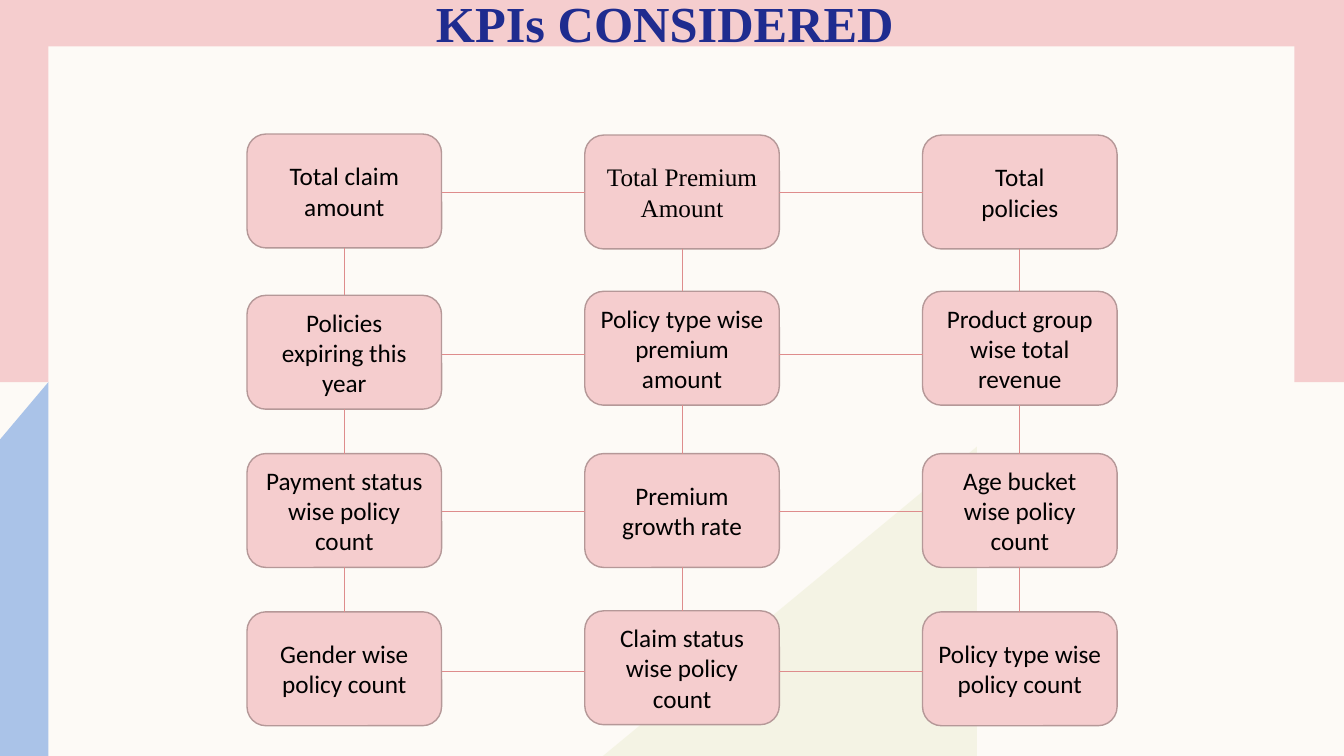
"""Build the slide of KPIs considered, a linked grid of cards."""
from lxml import etree
from pptx import Presentation, util as u
from pptx.dml.color import RGBColor
from pptx.enum import shapes as s, text as t
from pptx.oxml.ns import qn

PINK, CREAM = "F5CDCE", "FDFAF6"


def paint(fill, color):
    fill.solid()
    fill.fore_color.rgb = RGBColor.from_string(color)


def style(frame, anchor, size, font, color, bold=False):
    frame.word_wrap = True
    frame.auto_size = t.MSO_AUTO_SIZE.NONE
    frame.vertical_anchor = anchor
    for para in frame.paragraphs:
        para.alignment = t.PP_ALIGN.CENTER
        for run in para.runs:
            run.font.size = u.Pt(size)
            run.font.name = font
            run.font.bold = bold
            paint(run.font.fill, color)


deck = Presentation()
deck.slide_width, deck.slide_height = u.Inches(13.33), u.Inches(7.5)
slide = deck.slides.add_slide(deck.slide_layouts[5])
items = slide.shapes
paint(slide.background.fill, CREAM)

bands = [((0, 0, 13.33, 3.79), PINK), ((0.48, 0.46, 12.36, 6.59), CREAM)]
for box, color in bands:
    band = items.add_shape(s.MSO_SHAPE.RECTANGLE, *map(u.Inches, box))
    band.shadow.inherit = False
    paint(band.fill, color)
    band.line.fill.background()

wedges = [
    ([(5.98, 7.5), (9.69, 4.43), (9.69, 7.5)], "EDEED3", 50),
    ([(0.48, 3.79), (0.48, 7.5), (0, 7.5), (0, 4.36)], "AAC3E8", 100),
]
for points, color, alpha in wedges:
    points = [(u.Inches(x), u.Inches(y)) for x, y in points]
    pen = items.build_freeform(*points[0])
    pen.add_line_segments(points[1:], close=True)
    wedge = pen.convert_to_shape()
    wedge.shadow.inherit = False
    paint(wedge.fill, color)
    wedge.line.fill.background()
    if alpha < 100:
        tone = wedge.fill._xPr.find(qn("a:solidFill"))[0]
        etree.SubElement(tone, qn("a:alpha")).set("val", str(alpha * 1000))

title = items.title
title.left, title.top = u.Inches(3.72), u.Inches(-0.29)
title.width, title.height = u.Inches(5.75), u.Inches(0.81)
frame = title.text_frame
frame.text = "KPIs CONSIDERED"
frame.margin_top = frame.margin_bottom = 0
style(frame, t.MSO_ANCHOR.BOTTOM, 36, "Times New Roman", "1F2C8F", True)
items._spTree.append(title._element)

WIDE, HIGH = 1.93, 1.13
lefts = [2.45, 5.8, 9.15]
tops = [
    [1.33, 1.34, 1.34],
    [2.93, 2.89, 2.89],
    [4.5, 4.5, 4.5],
    [6.07, 6.06, 6.07],
]
levels = [1.91, 3.52, 5.07, 6.66]
labels = [
    ["Total claim amount", "Total Premium Amount", "Total\npolicies"],
    ["Policies expiring this year", "Policy type wise premium amount",
     "Product group wise total revenue"],
    ["Payment status wise policy count", "Premium growth rate",
     "Age bucket wise policy count"],
    ["Gender wise policy count", "Claim status wise policy count",
     "Policy type wise policy count"],
]

links = []
for row, names in enumerate(labels):
    for col, name in enumerate(names):
        left, top = lefts[col], tops[row][col]
        card = items.add_shape(
            s.MSO_SHAPE.FLOWCHART_ALTERNATE_PROCESS,
            *map(u.Inches, (left, top, WIDE, HIGH)))
        card.shadow.inherit = False
        paint(card.fill, PINK)
        paint(card.line.fill, "B59898")
        card.line.width = u.Pt(1)
        card.text_frame.text = name
        font = "Times New Roman" if (row, col) == (0, 1) else "Calibri"
        style(card.text_frame, t.MSO_ANCHOR.MIDDLE, 18, font, "000000")
        if col < 2:
            links.append((left + WIDE, levels[row], lefts[col + 1], levels[row]))
        if row < 3:
            mid = left + WIDE / 2
            links.append((mid, top + HIGH, mid, tops[row + 1][col]))

for ends in links:
    link = items.add_connector(s.MSO_CONNECTOR.STRAIGHT, *map(u.Inches, ends))
    paint(link.line.fill, "DE8C8C")
    link.line.width = u.Pt(0.5)
    etree.SubElement(link._element.spPr, qn("a:effectLst"))

deck.save("out.pptx")
